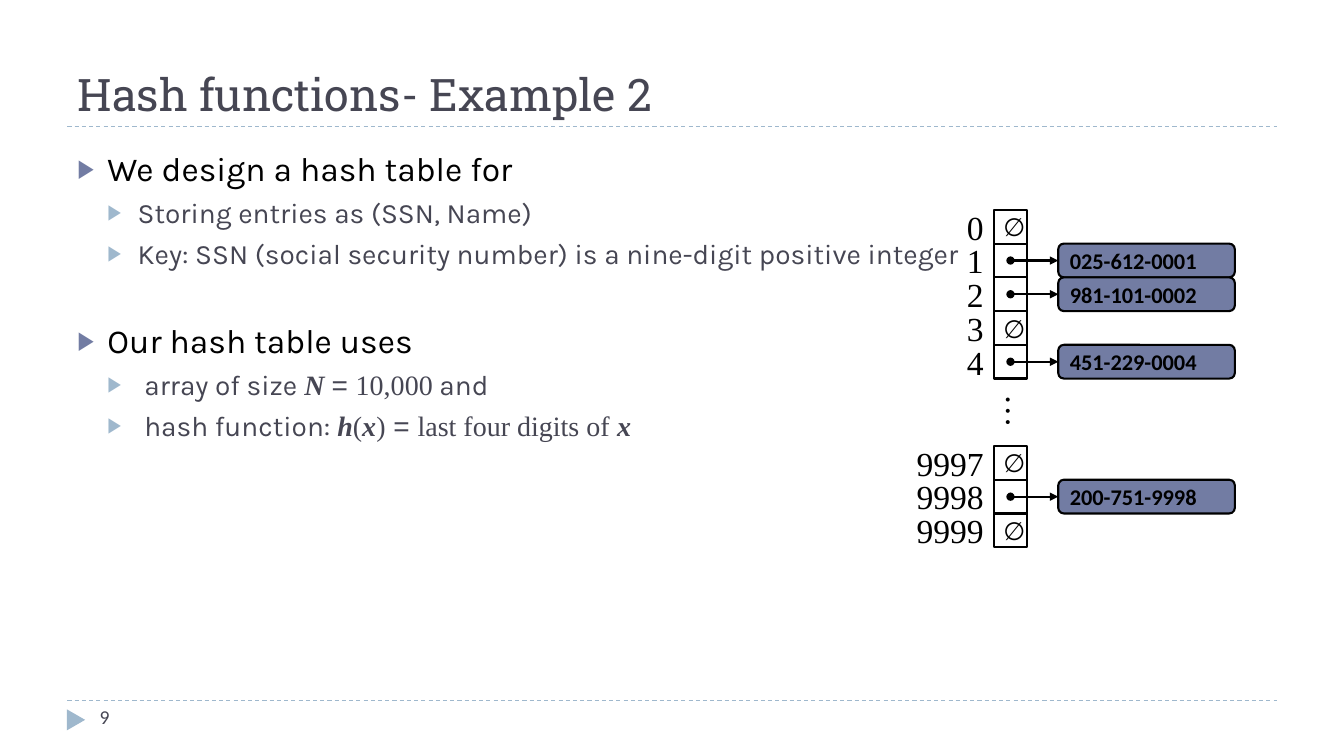
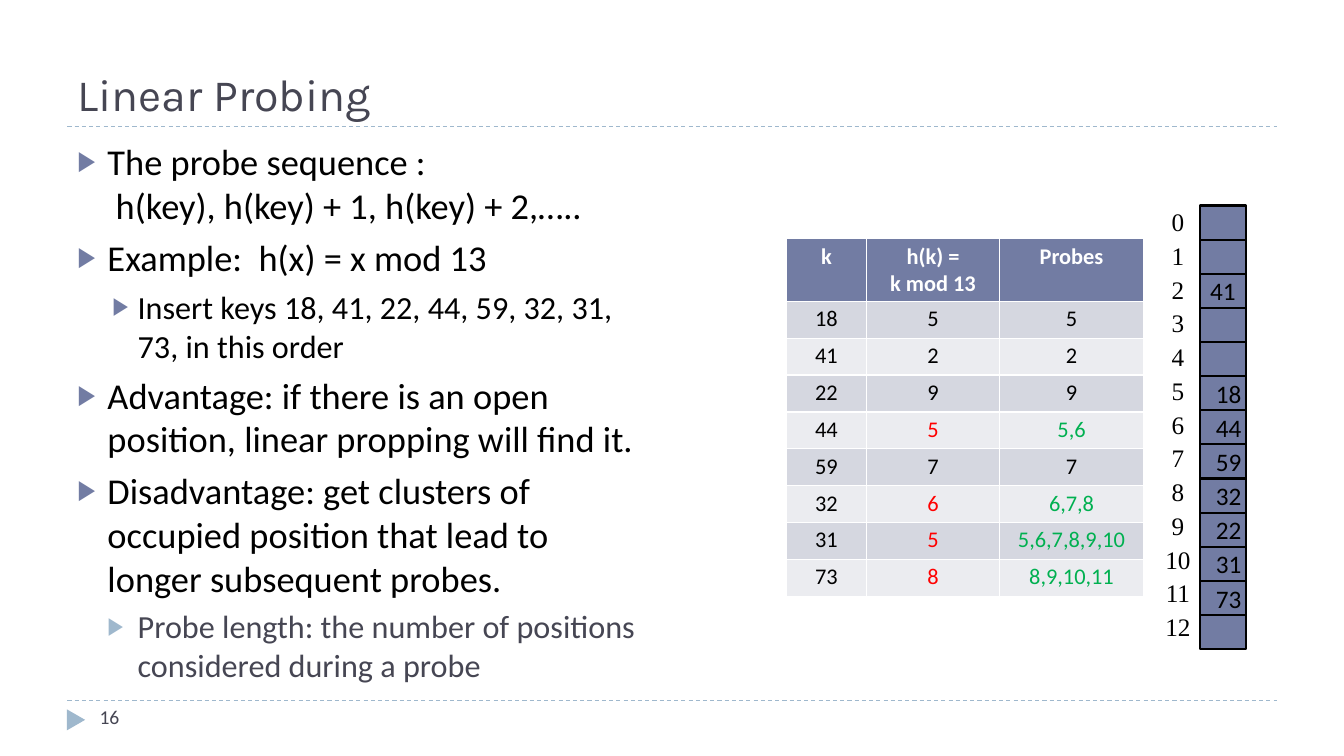
import dataclasses

import lxml.etree
import pptx
import pptx.dml.color
import pptx.enum.dml
import pptx.enum.shapes
import pptx.enum.text
import pptx.oxml.ns
import pptx.util

Cm = pptx.util.Cm
Pt = pptx.util.Pt
RGBColor = pptx.dml.color.RGBColor
Align = pptx.enum.text.PP_ALIGN
Anchor = pptx.enum.text.MSO_ANCHOR
Shape = pptx.enum.shapes.MSO_SHAPE
qn = pptx.oxml.ns.qn

INK = RGBColor(0x46, 0x46, 0x53)
INDIGO = RGBColor(0x72, 0x7C, 0xA3)
SKY = RGBColor(0x9F, 0xB8, 0xCD)
BLACK = RGBColor(0x00, 0x00, 0x00)
WHITE = RGBColor(0xFF, 0xFF, 0xFF)
RED = RGBColor(0xFF, 0x00, 0x00)
GREEN = RGBColor(0x00, 0xB0, 0x50)
BANDS = (RGBColor(0xD5, 0xD7, 0xE0), RGBColor(0xEB, 0xEC, 0xF0))

SANS = "Calibri"
KARLA = "Karla"
SERIF = "Times New Roman"
MARGIN, RIGHT_EDGE = 1.7, 32.18
EMPTY = "∅"


@dataclasses.dataclass
class BulletStyle:
    """Indents, spacing and colours of one bullet level."""
    left: float
    hang: float
    before: float
    bullet: RGBColor
    color: RGBColor


MAIN = BulletStyle(0.76, 0.76, 6, INDIGO, BLACK)
SECTION = dataclasses.replace(MAIN, before=36)
SUB = BulletStyle(1.52, 0.76, 5, SKY, INK)
STEP = BulletStyle(1.52, 0.64, 6, INDIGO, BLACK)


def format_runs(paragraph, font, size, color, bold=False):
    """Give every run of a paragraph the same font."""
    for run in paragraph.runs:
        run.font.name = font
        run.font.size = Pt(size)
        run.font.color.rgb = color
        run.font.bold = bold


def add_text(slide, box, text, font, size, color, align=Align.LEFT):
    """Add a one-paragraph text box."""
    shape = slide.shapes.add_textbox(*map(Cm, box))
    shape.text_frame.word_wrap = True
    paragraph = shape.text_frame.paragraphs[0]
    paragraph.text = text
    paragraph.alignment = align
    format_runs(paragraph, font, size, color)
    return shape


def add_box(slide, kind, box, text="", fill=None, size=18, bold=False):
    """Add a black-outlined box with left-aligned text."""
    shape = slide.shapes.add_shape(kind, *map(Cm, box))
    shape.shadow.inherit = False
    if fill is None:
        shape.fill.background()
    else:
        shape.fill.solid()
        shape.fill.fore_color.rgb = fill
    shape.line.color.rgb = BLACK
    shape.line.width = Pt(1.5)
    frame = shape.text_frame
    frame.word_wrap = False
    frame.vertical_anchor = Anchor.MIDDLE
    if text:
        frame.text = text
        frame.paragraphs[0].alignment = Align.LEFT
        format_runs(frame.paragraphs[0], SANS, size, BLACK, bold)
    return shape


def add_line(slide, start, end, color, width):
    """Add a straight connector without a shadow."""
    line = slide.shapes.add_connector(
        pptx.enum.shapes.MSO_CONNECTOR.STRAIGHT, *map(Cm, start + end))
    line.line.color.rgb = color
    line.line.width = Pt(width)
    lxml.etree.SubElement(line.element.spPr, qn("a:effectLst"))
    return line


def add_pointer(slide, start, record):
    """Draw a dotted-start arrow to the left side of a record."""
    arrow = add_line(slide, start, start, BLACK, 1.5)
    arrow.end_connect(record, 1)
    outline = arrow.element.spPr.find(qn("a:ln"))
    for tag, kind in (("a:headEnd", "oval"), ("a:tailEnd", "triangle")):
        lxml.etree.SubElement(outline, qn(tag), type=kind)


def add_framed_slide(presentation, title, title_font, number):
    """Add a slide with title, dashed rules and page marker."""
    slide = presentation.slides.add_slide(presentation.slide_layouts[5])
    for y in (3.18, 17.65):
        rule = add_line(slide, (MARGIN, y), (RIGHT_EDGE, y), SKY, 0.75)
        rule.line.dash_style = pptx.enum.dml.MSO_LINE.DASH

    marker = slide.shapes.add_shape(
        Shape.ISOSCELES_TRIANGLE, *map(Cm, (1.65, 17.91, 0.53, 0.46)))
    marker.rotation = 90
    marker.shadow.inherit = False
    marker.fill.solid()
    marker.fill.fore_color.rgb = SKY
    marker.line.fill.background()

    heading = slide.shapes.title
    heading.left, heading.top = Cm(MARGIN), Cm(0.43)
    heading.width, heading.height = Cm(RIGHT_EDGE - MARGIN), Cm(2.74)
    frame = heading.text_frame
    frame.text = title
    frame.auto_size = pptx.enum.text.MSO_AUTO_SIZE.NONE
    frame.vertical_anchor = Anchor.BOTTOM
    frame.paragraphs[0].alignment = Align.LEFT
    format_runs(frame.paragraphs[0], title_font, 32, INK)

    add_text(slide, (2.26, 17.65, 7.34, 1.02), str(number), SANS, 14, INK)
    return slide


def set_bullet(paragraph, style):
    """Apply a bullet level to a paragraph."""
    paragraph.space_before = Pt(style.before)
    properties = paragraph._p.get_or_add_pPr()
    properties.set("marL", str(Cm(style.left)))
    properties.set("indent", str(-Cm(style.hang)))
    color = lxml.etree.SubElement(properties, qn("a:buClr"))
    lxml.etree.SubElement(color, qn("a:srgbClr"), val=str(style.bullet))
    lxml.etree.SubElement(properties, qn("a:buSzPct"), val="76000")
    lxml.etree.SubElement(properties, qn("a:buFont"), typeface="Arial")
    lxml.etree.SubElement(properties, qn("a:buChar"), char="▶")


def add_bullets(slide, box, items, font, main_size, sub_size):
    """Add a bullet list; an item is a text or a list of (text, font, is_variable)."""
    frame = slide.shapes.add_textbox(*map(Cm, box)).text_frame
    frame.word_wrap = True
    for index, (style, content) in enumerate(items):
        paragraph = frame.add_paragraph() if index else frame.paragraphs[0]
        size = main_size if style in (MAIN, SECTION) else sub_size
        set_bullet(paragraph, style)
        if isinstance(content, str):
            paragraph.text = content
            format_runs(paragraph, font, size, style.color)
            continue
        for text, span_font, is_variable in content:
            run = paragraph.add_run()
            run.text = text
            run.font.name = span_font
            run.font.size = Pt(size)
            run.font.color.rgb = style.color
            run.font.bold = run.font.italic = is_variable


def add_bucket_array(slide, left, top):
    """Draw the array with its labels, empty cells and records."""
    cell = 0.85
    label_width = 2.54
    buckets = ((0, "0", None), (1, "1", "025-612-0001"),
               (2, "2", "981-101-0002"), (3, "3", None),
               (4, "4", "451-229-0004"), (7, "9997", None),
               (8, "9998", "200-751-9998"), (9, "9999", None))
    array_left = left + label_width
    for row, label, key in buckets:
        y = top + row * cell
        add_text(slide, (left, y - 0.21, label_width, 1.27),
                 label, SERIF, 24, BLACK, Align.RIGHT)
        add_box(slide, Shape.RECTANGLE, (array_left, y, cell, cell),
                "" if key else EMPTY)
        if key:
            record = add_box(slide, Shape.ROUNDED_RECTANGLE,
                             (array_left + 1.63, y, 4.45, cell),
                             key, INDIGO, 16, True)
            add_pointer(slide, (array_left + cell / 2, y + cell / 2), record)
    dots = add_text(slide, (array_left - 0.02, top + 4.45, 1.35, 1.27),
                    "…", SERIF, 24, BLACK, Align.CENTER)
    dots.text_frame.word_wrap = False
    dots.rotation = 90


def add_probe_table(slide, left, top):
    """Add the table of keys, hash values and probes."""
    rows = (("k", "h(k) =\nk mod 13", "Probes"),
            ("18", "5", "5"), ("41", "2", "2"), ("22", "9", "9"),
            ("44", "5", "5,6"), ("59", "7", "7"), ("32", "6", "6,7,8"),
            ("31", "5", "5,6,7,8,9,10"), ("73", "8", "8,9,10,11"))
    widths = (2.03, 3.35, 3.63)
    heights = (1.57,) + (0.93,) * (len(rows) - 1)
    table = slide.shapes.add_table(
        len(rows), len(widths), Cm(left), Cm(top),
        Cm(sum(widths)), Cm(sum(heights))).table
    for column, width in zip(table.columns, widths):
        column.width = Cm(width)
    for index, values in enumerate(rows):
        table.rows[index].height = Cm(heights[index])
        is_header = index == 0
        collided = "," in values[2]
        if is_header:
            colors = (WHITE,) * 3
        else:
            colors = (BLACK, RED, GREEN) if collided else (BLACK,) * 3
        for column, (value, color) in enumerate(zip(values, colors)):
            cell = table.cell(index, column)
            cell.margin_top = cell.margin_bottom = Cm(0.1)
            cell.fill.solid()
            cell.fill.fore_color.rgb = INDIGO if is_header else BANDS[(index - 1) % 2]
            cell.text_frame.text = value
            for paragraph in cell.text_frame.paragraphs:
                paragraph.alignment = Align.CENTER
                format_runs(paragraph, SANS, 16, color, is_header)


def add_slot_column(slide, left, top):
    """Draw the thirteen numbered slots with the stored keys."""
    label_width, label_step, slot_height = 1.55, 0.85, 0.86
    stored = {2: "41", 5: " 18", 6: " 44", 7: " 59", 8: " 32",
              9: " 22", 10: " 31", 11: " 73"}
    for slot in range(13):
        add_text(slide, (left, top - 0.1 + slot * label_step, label_width, 1.04),
                 str(slot), SERIF, 18, BLACK, Align.CENTER)
        add_box(slide, Shape.RECTANGLE,
                (left + 1.34, top + slot * slot_height, 1.15, slot_height),
                stored.get(slot, ""), INDIGO)


def build_hash_example(presentation):
    """Build the slide on a hash table of numbers."""
    slide = add_framed_slide(
        presentation, "Hash functions- Example 2", "Roboto Slab", 9)
    add_bullets(slide, (MARGIN, 3.61, 29.44, 13.26), (
        (MAIN, "We design a hash table for"),
        (SUB, "Storing entries as (SSN, Name)"),
        (SUB, "Key: SSN (social security number) is a nine-digit positive integer"),
        (SECTION, "Our hash table uses"),
        (SUB, ((" array of size ", KARLA, False), ("N ", SERIF, True),
               ("= ", "Arial", False), ("10,000", SERIF, False),
               (" and", KARLA, False))),
        (SUB, ((" hash function: ", KARLA, False), ("h", SERIF, True),
               ("(", SERIF, False), ("x", SERIF, True), (")", SERIF, False),
               (" = ", "Arial", False), ("last four digits of ", SERIF, False),
               ("x", SERIF, True))),
    ), KARLA, 24, 20)
    add_bucket_array(slide, 22.5, 5.29)


def build_linear_probing(presentation):
    """Build the slide on linear probing."""
    slide = add_framed_slide(presentation, "Linear Probing", KARLA, 16)
    add_bullets(slide, (MARGIN, 3.39, 14.96, 13.72), (
        (MAIN, "The probe sequence : \v h(key), h(key) + 1, h(key) + 2,….."),
        (MAIN, "Example:  h(x) = x mod 13"),
        (STEP, "Insert keys 18, 41, 22, 44, 59, 32, 31, 73, in this order"),
        (MAIN, "Advantage: if there is an open position, linear propping will find it."),
        (MAIN, "Disadvantage: get clusters of occupied position that lead to "
               "longer subsequent probes."),
        (SUB, "Probe length: the number of positions considered during a probe"),
    ), SANS, 26, 23)
    add_slot_column(slide, 28.91, 5.18)
    add_probe_table(slide, 19.81, 6.02)


def main():
    """Build and save the presentation."""
    presentation = pptx.Presentation()
    presentation.slide_width, presentation.slide_height = Cm(33.87), Cm(19.05)
    build_hash_example(presentation)
    build_linear_probing(presentation)
    presentation.save("out.pptx")


if __name__ == "__main__":
    main()
